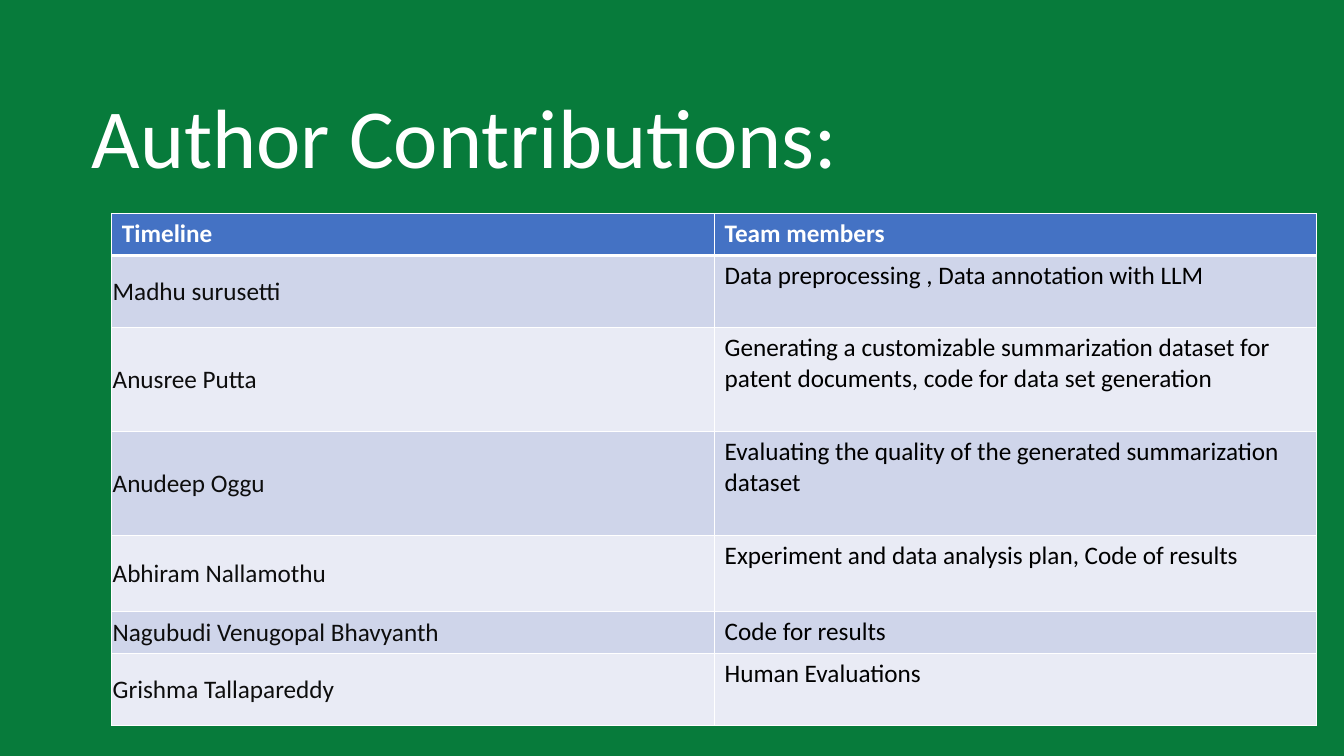
from lxml import etree
from pptx import Presentation, util as u
from pptx.dml.color import RGBColor
from pptx.enum import text
from pptx.oxml import ns

GREEN = RGBColor(0x07, 0x7B, 0x3B)
WHITE = RGBColor(0xFF, 0xFF, 0xFF)
BLACK = RGBColor(0, 0, 0)
NEAR_BLACK = RGBColor(0x0D, 0x0D, 0x0D)
HEADER_BLUE = RGBColor(0x44, 0x72, 0xC4)
BANDS = (RGBColor(0xCF, 0xD5, 0xEA), RGBColor(0xE9, 0xEB, 0xF5))

HEADER = ("Timeline", "Team members")
CONTRIBUTIONS = [
    ("Madhu surusetti", "Data preprocessing , Data annotation with LLM"),
    ("Anusree Putta", "Generating a customizable summarization dataset for "
                      "patent documents, code for data set generation"),
    ("Anudeep Oggu", "Evaluating the quality of the generated summarization dataset"),
    ("Abhiram Nallamothu", "Experiment and data analysis plan, Code of results"),
    ("Nagubudi Venugopal Bhavyanth", "Code for results"),
    ("Grishma Tallapareddy", "Human Evaluations"),
]
COLUMN_WIDTHS = (15.19, 15.16)
ROW_HEIGHTS = (1.06, 1.82, 2.61, 2.63, 1.9, 1.06, 1.82)


class SlideBuilder:
    """Holds the text style and the current slide."""

    def __init__(self, slide, font="Calibri"):
        self.slide = slide
        self.font = font

    def background(self, color):
        fill = self.slide.background.fill
        fill.solid()
        fill.fore_color.rgb = color

    def add_run(self, paragraph, content, size, color, bold=False):
        run = paragraph.add_run()
        run.text = content
        run.font.name = self.font
        run.font.size = u.Pt(size)
        run.font.bold = bold
        run.font.color.rgb = color

    def title(self, content, left, top, width, height):
        shape = self.slide.shapes.title
        shape.left, shape.top = u.Cm(left), u.Cm(top)
        shape.width, shape.height = u.Cm(width), u.Cm(height)
        frame = shape.text_frame
        frame.word_wrap = True
        frame.auto_size = text.MSO_AUTO_SIZE.NONE
        frame.vertical_anchor = text.MSO_ANCHOR.TOP
        paragraph = frame.paragraphs[0]
        paragraph.alignment = text.PP_ALIGN.LEFT
        paragraph.line_spacing = 0.9
        self.add_run(paragraph, content, 60, WHITE)

    def borders(self, cell, top=1, bottom=1):
        properties = cell._tc.get_or_add_tcPr()
        widths = {"a:lnL": 1, "a:lnR": 1, "a:lnT": top, "a:lnB": bottom}
        for index, (tag, width) in enumerate(widths.items()):
            line = etree.Element(ns.qn(tag), w=str(u.Pt(width)))
            fill = etree.SubElement(line, ns.qn("a:solidFill"))
            etree.SubElement(fill, ns.qn("a:srgbClr"), val=str(WHITE))
            properties.insert(index, line)

    def cell(self, cell, content, fill, color, bold=False):
        cell.fill.solid()
        cell.fill.fore_color.rgb = fill
        self.add_run(cell.text_frame.paragraphs[0], content, 18, color, bold)

    def table(self, header, rows, left, top, widths, heights):
        table = self.slide.shapes.add_table(
            len(heights), len(widths), u.Cm(left), u.Cm(top),
            u.Cm(sum(widths)), u.Cm(sum(heights))).table
        for column, width in zip(table.columns, widths):
            column.width = u.Cm(width)
        for row, height in zip(table.rows, heights):
            row.height = u.Cm(height)

        # Header row with a thick rule below it
        for column, label in enumerate(header):
            cell = table.cell(0, column)
            self.cell(cell, label, HEADER_BLUE, WHITE, bold=True)
            self.borders(cell, bottom=3)

        # Banded rows: centred name on the left, task on the right
        for index, (name, task) in enumerate(rows):
            name_cell, task_cell = table.rows[index + 1].cells
            band = BANDS[index % 2]
            self.cell(name_cell, name, band, NEAR_BLACK)
            self.cell(task_cell, task, band, BLACK)
            name_cell.vertical_anchor = text.MSO_ANCHOR.MIDDLE
            name_cell.margin_left = name_cell.margin_right = u.Cm(0.02)
            name_cell.margin_top, name_cell.margin_bottom = u.Cm(0.02), 0
            for cell in (name_cell, task_cell):
                self.borders(cell, top=3 if index == 0 else 1)


def main():
    presentation = Presentation()
    presentation.slide_width, presentation.slide_height = u.Cm(33.87), u.Cm(19.05)
    title_only = presentation.slide_layouts[5]
    builder = SlideBuilder(presentation.slides.add_slide(title_only))

    # Background and title
    builder.background(GREEN)
    builder.title("Author Contributions:", 2.06, 2.29, 24.08, 2.44)

    # Contributions table
    builder.table(HEADER, CONTRIBUTIONS, 2.82, 5.38, COLUMN_WIDTHS, ROW_HEIGHTS)

    presentation.save("out.pptx")


if __name__ == "__main__":
    main()
